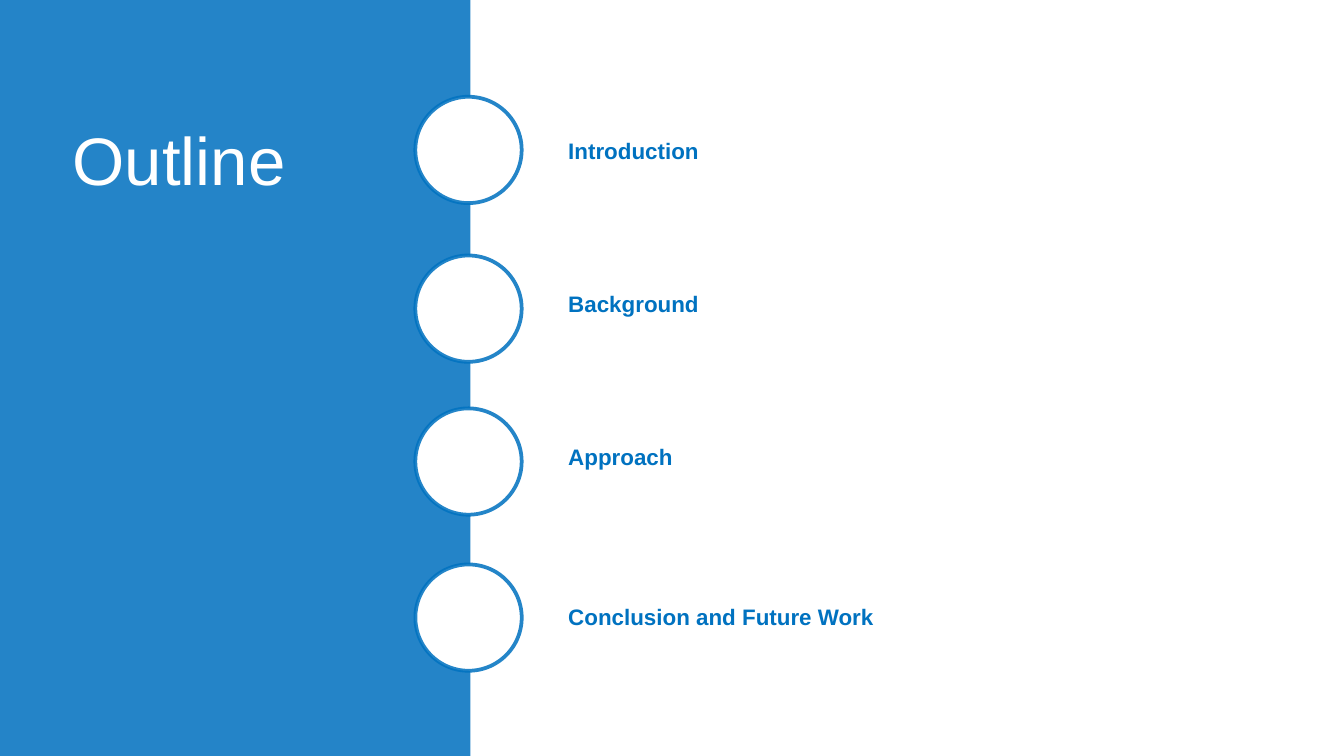
from lxml import etree
from pptx import Presentation
from pptx.dml.color import RGBColor
from pptx.enum import shapes, text
from pptx.oxml.ns import qn
from pptx.util import Cm, Pt

WHITE = RGBColor(0xFF, 0xFF, 0xFF)
PANEL_BLUE = RGBColor(0x00, 0x70, 0xC0)
ACCENT_BLUE = RGBColor(0x00, 0x72, 0xC0)
FONT = "Arial"

SLIDE_W, SLIDE_H = 25.4, 14.29
PANEL_W = 8.89
CIRCLE = 2.01
LABEL_INDENT = 2.64  # from the circle's left edge to the label box

# Label, top of circle, top of label, rotation of circle
TOPICS = [
    ("Introduction", 1.83, 2.46, 0),
    ("Background", 4.83, 5.36, 0),
    ("Approach", 7.72, 8.26, 0),
    ("Conclusion and Future Work", 10.67, 11.28, 17),
]


def set_alpha(color_format, percent):
    """Make a solid fill or line colour partly transparent."""
    color = color_format._xPr.find(qn("a:solidFill"))[0]
    etree.SubElement(color, qn("a:alpha"), val=str(percent * 1000))


def add_filled(slide, kind, box, color):
    sp = slide.shapes.add_shape(kind, *(Cm(v) for v in box))
    sp.shadow.inherit = False
    sp.fill.solid()
    sp.fill.fore_color.rgb = color
    sp.line.fill.background()
    return sp


def format_run(p, size, color, bold=False):
    p.alignment = text.PP_ALIGN.LEFT
    font = p.runs[0].font
    font.name, font.size, font.bold = FONT, Pt(size), bold
    font.color.rgb = color


def add_panel(slide, box, color, alpha):
    sp = add_filled(slide, shapes.MSO_SHAPE.RECTANGLE, box, color)
    set_alpha(sp.fill._fill, alpha) if hasattr(sp.fill._fill, "_xPr") else \
        etree.SubElement(sp._element.spPr.find(qn("a:solidFill"))[0],
                         qn("a:alpha"), val=str(alpha * 1000))
    return sp


def place_title(slide, box, behind):
    """Place the title in front of the given panel."""
    title = slide.shapes.title
    title.left, title.top, title.width, title.height = (Cm(v) for v in box)
    behind._element.addnext(title._element)
    tf = title.text_frame
    tf.text = "Outline"
    tf.word_wrap = True
    tf.vertical_anchor = text.MSO_ANCHOR.MIDDLE
    format_run(tf.paragraphs[0], 36, WHITE)


def add_topics(slide, left, width):
    # Circles on the panel edge
    for _, top, _, angle in TOPICS:
        sp = add_filled(slide, shapes.MSO_SHAPE.OVAL,
                        (left, top, CIRCLE, CIRCLE), WHITE)
        sp.rotation = angle
        sp.line.color.rgb = ACCENT_BLUE
        sp.line.width = Pt(2)
        color = sp._element.spPr.find(qn("a:ln")).find(qn("a:solidFill"))[0]
        etree.SubElement(color, qn("a:alpha"), val="85000")

    # Topic labels
    for label, _, top, _ in TOPICS:
        box = slide.shapes.add_textbox(Cm(left + LABEL_INDENT), Cm(top),
                                       Cm(width - LABEL_INDENT), Cm(0.76))
        tf = box.text_frame
        tf.word_wrap = True
        tf.text = label
        format_run(tf.paragraphs[0], 12, ACCENT_BLUE, bold=True)


def main():
    prs = Presentation()
    prs.slide_width, prs.slide_height = Cm(SLIDE_W), Cm(SLIDE_H)
    slide = prs.slides.add_slide(prs.slide_layouts[5])

    # Background panels and title
    add_panel(slide, (PANEL_W, 0, SLIDE_W - PANEL_W, SLIDE_H), WHITE, 88)
    panel = add_panel(slide, (0, 0, PANEL_W, SLIDE_H), PANEL_BLUE, 86)
    place_title(slide, (1.12, 1.4, 6.55, 3.2), panel)

    # Outline
    add_topics(slide, left=7.85, width=14.63)
    prs.save("out.pptx")


if __name__ == "__main__":
    main()
